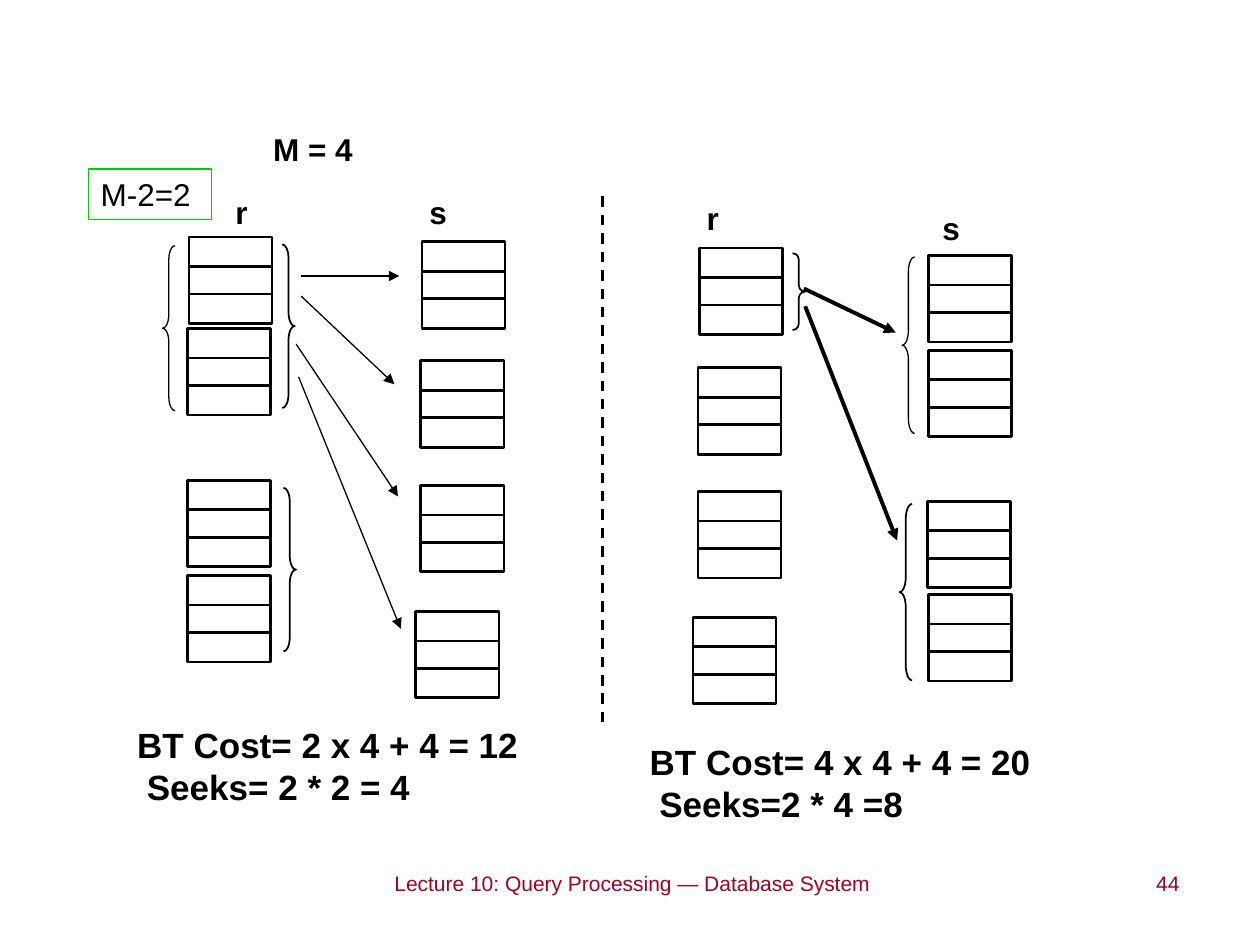
import pptx
import pptx.dml.color
import pptx.enum.dml
import pptx.enum.shapes
import pptx.enum.text
import pptx.oxml
import pptx.oxml.ns
import pptx.util

Pt = pptx.util.Pt
SHAPE = pptx.enum.shapes.MSO_SHAPE
ALIGN = pptx.enum.text.PP_ALIGN
BLACK = pptx.dml.color.RGBColor(0x00, 0x00, 0x00)
GREEN = pptx.dml.color.RGBColor(0x00, 0xCC, 0x00)
CRIMSON = pptx.dml.color.RGBColor(0xA5, 0x00, 0x21)

BLOCK_W, RECT_H, ROW_STEP = 47.5, 32.6, 16.8
BRACE_W = 7.2

LEFT_PANEL = {
    "labels": [("r", 57.4, 6.6), ("s", 168.3, 6.6)],
    "blocks": [(38, 35.4), (37.3, 87.9), (37.3, 174.5), (37.3, 229),
               (171.2, 38.2), (170.5, 106.2), (170.5, 177.4), (167.6, 249.4)],
    "braces": [(SHAPE.RIGHT_BRACE, 91.3, 39.7, 93.4, 1),
               (SHAPE.RIGHT_BRACE, 92, 178.8, 93.4, 1),
               (SHAPE.LEFT_BRACE, 22.9, 40.4, 94.3, 0.75)],
    "arrows": [(102.1, 57.7, 158.2, 57.7), (102.1, 69.2, 155.4, 119.6),
               (99.2, 96.6, 157.5, 183.7), (100.6, 115.3, 159, 259.3)],
    "arrow_width": 0.75,
    "cost": (1.3, 309.7, 251.3, 55.4),
    "cost_lines": [("BT Cost= 2 x 4 + 4 = 12", 0), ("Seeks= 2 * 2 = 4", 5.56)],
}

RIGHT_PANEL = {
    "labels": [("r", 41.7, 10.2), ("s", 176.4, 15.9)],
    "blocks": [(44.6, 41.8), (43.9, 110.2), (43.9, 181), (41, 252.8),
               (175.6, 46.1), (175.6, 100.2), (174.9, 186.5), (175.6, 239.8)],
    "braces": [(SHAPE.RIGHT_BRACE, 97.9, 44.7, 43.9, 1),
               (SHAPE.LEFT_BRACE, 160.5, 46.9, 100.8, 0.75),
               (SHAPE.LEFT_BRACE, 159, 188, 100.8, 1)],
    "arrows": [(104.4, 64.9, 156.9, 90.1), (105.1, 75, 157.6, 208.9)],
    "arrow_width": 2.25,
    "cost": (3.6, 319.8, 307.4, 55.4),
    "cost_lines": [("BT Cost= 4 x 4 + 4 = 20", 5.56), ("Seeks=2 * 4 =8", 11.12)],
}


def add_text(slide, box, lines, size, bold=False, color=BLACK, align=ALIGN.LEFT):
    """Add a text box with one paragraph per (text, left indent) pair."""
    sp = slide.shapes.add_textbox(*(Pt(v) for v in box))
    tf = sp.text_frame
    tf.word_wrap = True
    fmt = {"name": "Arial", "size": Pt(size), "bold": bold}
    for i, (text, indent) in enumerate(lines):
        p = tf.add_paragraph() if i else tf.paragraphs[0]
        p.alignment = align
        if indent:
            p._p.get_or_add_pPr().set("marL", str(int(Pt(indent))))
        r = p.add_run()
        r.text = text
        for key, value in fmt.items():
            setattr(r.font, key, value)
        r.font.color.rgb = color
    return sp


def add_outline(slide, kind, box, width):
    """Add an unfilled black shape."""
    sp = slide.shapes.add_shape(kind, *(Pt(v) for v in box))
    sp.shadow.inherit = False
    sp.fill.background()
    sp.line.color.rgb = BLACK
    sp.line.width = Pt(width)
    return sp


def add_line(slide, ends, width, arrow=False):
    """Add a straight black line, with an arrowhead if asked."""
    sp = slide.shapes.add_connector(
        pptx.enum.shapes.MSO_CONNECTOR.STRAIGHT, *(Pt(v) for v in ends))
    sp.line.color.rgb = BLACK
    sp.line.width = Pt(width)
    if arrow:
        ns = pptx.oxml.ns.nsdecls("a")
        sp.line._get_or_add_ln().append(
            pptx.oxml.parse_xml(f'<a:tailEnd {ns} type="triangle"/>'))
    sp._element.spPr.append(
        pptx.oxml.parse_xml(f'<a:effectLst {pptx.oxml.ns.nsdecls("a")}/>'))
    return sp


def add_block(slide, x, y):
    """Add a three-row block made of two overlapping rectangles."""
    for top in (y, y + ROW_STEP):
        add_outline(slide, SHAPE.RECTANGLE, (x, top, BLOCK_W, RECT_H), 1.5)


def add_panel(slide, x, y, panel):
    """Add one join scenario with its top left corner at x, y."""
    for text, dx, dy in panel["labels"]:
        add_text(slide, (x + dx, y + dy, 51, 29), [(text, 0)], 18, bold=True)
    for dx, dy in panel["blocks"]:
        add_block(slide, x + dx, y + dy)
    for kind, dx, dy, h, width in panel["braces"]:
        sp = add_outline(slide, kind, (x + dx, y + dy, BRACE_W, h), width)
        sp.adjustments[0] = h / 12 / BRACE_W
    for x1, y1, x2, y2 in panel["arrows"]:
        add_line(slide, (x + x1, y + y1, x + x2, y + y2),
                 panel["arrow_width"], arrow=True)
    dx, dy, w, h = panel["cost"]
    add_text(slide, (x + dx, y + dy, w, h), panel["cost_lines"], 20, bold=True)


def add_memory(slide, x, y):
    """Add the memory size and the framed count of usable pages."""
    add_text(slide, (x + 98.6, y, 66.2, 29), [("M = 4", 0)], 18, bold=True)
    sp = add_text(slide, (x, y + 26, 70.6, 29), [("M-2=2", 0)], 18)
    sp.line.color.rgb = GREEN
    sp.line.width = Pt(0.75)


def add_footer(slide, x, y):
    """Add the lecture name and the slide number."""
    add_text(slide, (x, y, 390.2, 32), [("Lecture 10: Query Processing — Database System", 0)],
             12, color=CRIMSON, align=ALIGN.CENTER)
    add_text(slide, (x + 412.6, y, 102.2, 32), [("44", 0)],
             12, color=CRIMSON, align=ALIGN.RIGHT)


def main():
    """Build and save the slide."""
    prs = pptx.Presentation()
    prs.slide_width, prs.slide_height = Pt(720), Pt(540)
    slide = prs.slides.add_slide(prs.slide_layouts[6])
    add_memory(slide, 50.4, 70.6)
    add_panel(slide, 70, 100, LEFT_PANEL)
    divider = add_line(slide, (344.2, 112.3, 344.2, 413.3), 1.5)
    divider.line.dash_style = pptx.enum.dml.MSO_LINE.DASH
    add_panel(slide, 355, 100, RIGHT_PANEL)
    add_footer(slide, 166.3, 493.9)
    prs.save("out.pptx")


if __name__ == "__main__":
    main()
